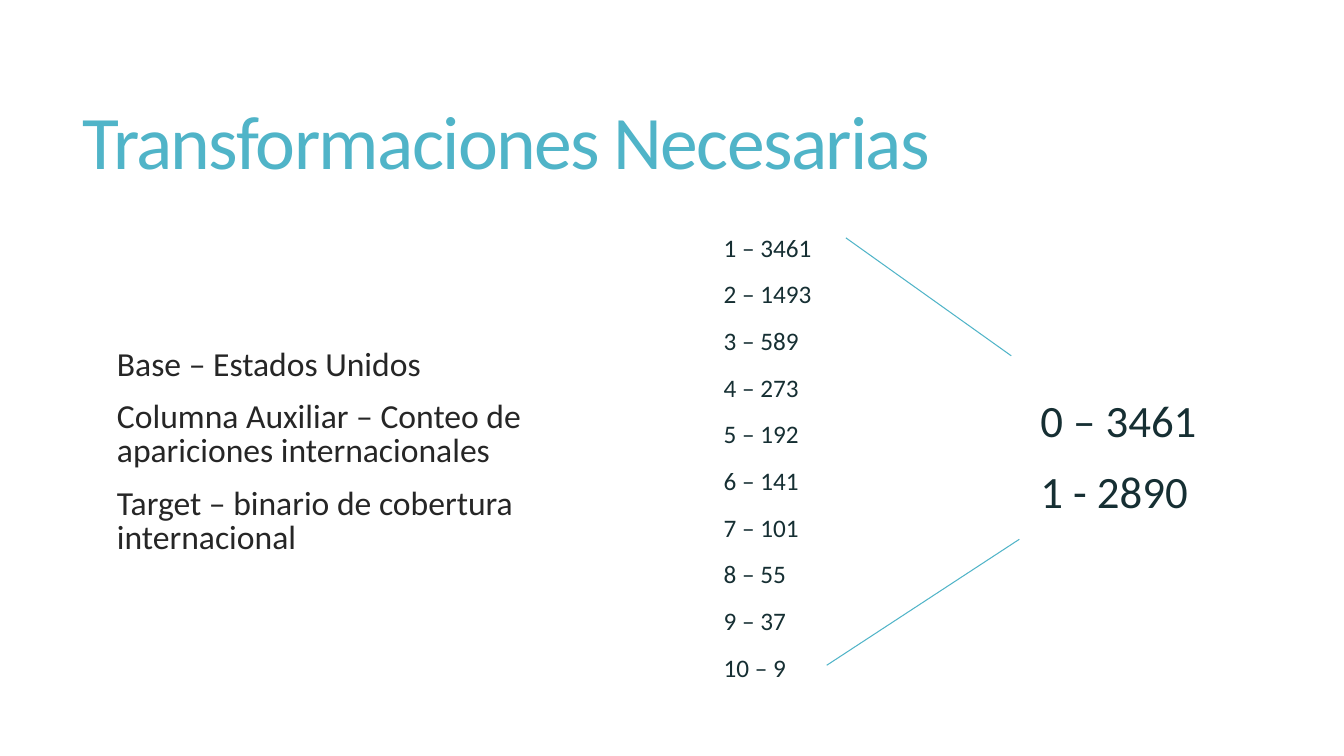
import pptx
import pptx.util
import pptx.dml.color
import pptx.enum.shapes
import pptx.enum.text
import lxml.etree

Inches, Pt = pptx.util.Inches, pptx.util.Pt
ANCHOR = pptx.enum.text.MSO_ANCHOR
COLORS = {"accent": "50B4C8", "body": "262626", "counts": "162F33"}


def write_lines(shape, lines, size, color, anchor, spacing, before=0, after=0):
    frame = shape.text_frame
    frame.word_wrap = True
    frame.auto_size = pptx.enum.text.MSO_AUTO_SIZE.NONE
    frame.vertical_anchor = anchor
    for index, line in enumerate(lines):
        paragraph = frame.paragraphs[0] if index == 0 else frame.add_paragraph()
        paragraph.alignment = pptx.enum.text.PP_ALIGN.LEFT
        paragraph.line_spacing = spacing
        paragraph.space_before = Pt(before)
        paragraph.space_after = Pt(after)
        run = paragraph.add_run()
        run.text = line
        run.font.name = "Calibri"
        run.font.size = Pt(size)
        run.font.color.rgb = pptx.dml.color.RGBColor.from_string(COLORS[color])


def place(shape, left, top, width, height):
    shape.left, shape.top = Inches(left), Inches(top)
    shape.width, shape.height = Inches(width), Inches(height)


deck = pptx.Presentation()
deck.slide_width, deck.slide_height = Inches(13.33), Inches(7.5)
slide = deck.slides.add_slide(deck.slide_layouts[1])

# Title
title = slide.shapes.title
place(title, 0.72, 0.55, 11.78, 1.81)
write_lines(title, ["Transformaciones Necesarias"], 54, "accent", ANCHOR.MIDDLE, 0.85)
title.text_frame.paragraphs[0].runs[0].font._element.set("spc", "-120")

# Transformation steps
steps = slide.placeholders[1]
place(steps, 0.96, 3.41, 5.29, 2.3)
write_lines(steps, [
    "Base – Estados Unidos",
    "Columna Auxiliar – Conteo de apariciones internacionales",
    "Target – binario de cobertura internacional",
], 24, "body", ANCHOR.TOP, 0.85, before=13)
for paragraph in steps.text_frame.paragraphs:
    properties = paragraph._p.get_or_add_pPr()
    properties.set("marL", str(Inches(0.1)))
    properties.set("indent", "0")
    lxml.etree.SubElement(properties, pptx.oxml.ns.qn("a:buNone"))

# Number of records for each count of appearances
records = [3461, 1493, 589, 273, 192, 141, 101, 55, 37, 9]
counts = slide.shapes.add_textbox(Inches(7.08), Inches(2.08), Inches(1.83), Inches(4.88))
write_lines(counts, [f"{number} – {total}" for number, total in enumerate(records, 1)],
            18, "counts", ANCHOR.MIDDLE, 1.1, before=3.6, after=6)

# Binary target
target = slide.shapes.add_textbox(Inches(10.22), Inches(3.54), Inches(1.83), Inches(1.95))
write_lines(target, ["0 – 3461", "1 - 2890"], 32, "counts", ANCHOR.MIDDLE, 1.0,
            before=6.4, after=6)

# Lines narrowing from the counts to the target
for ends in [(8.39, 2.36, 10.03, 3.53), (8.2, 6.6, 10.11, 5.35)]:
    funnel = slide.shapes.add_connector(
        pptx.enum.shapes.MSO_CONNECTOR.STRAIGHT, *map(Inches, ends))
    funnel.line.color.rgb = pptx.dml.color.RGBColor.from_string(COLORS["accent"])
    funnel.line.width = Pt(0.75)
    lxml.etree.SubElement(funnel._element.spPr, pptx.oxml.ns.qn("a:effectLst"))

deck.save("out.pptx")
